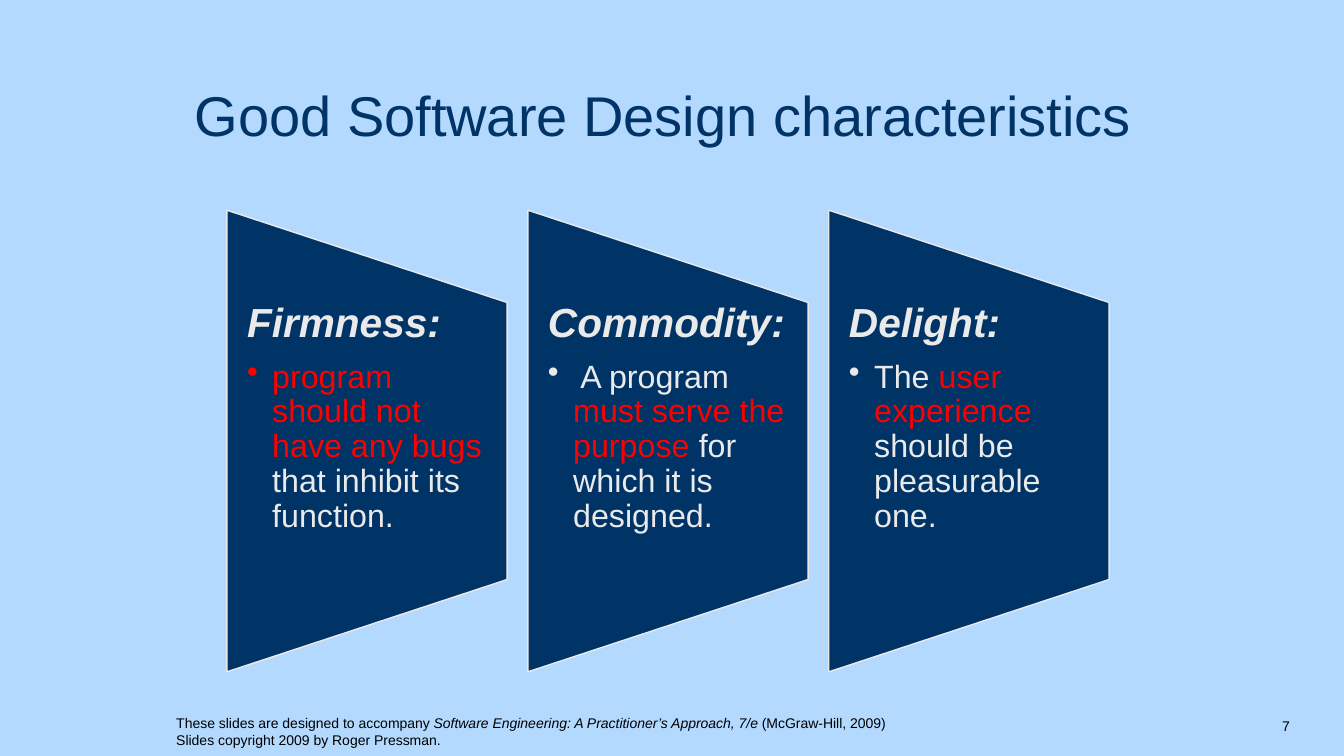
import pptx
import pptx.dml.color
import pptx.enum.shapes
import pptx.enum.text
import pptx.oxml.xmlchemy
import pptx.util
from lxml import etree

Inches, Pt = pptx.util.Inches, pptx.util.Pt
ANCHOR = pptx.enum.text.MSO_ANCHOR
ALIGN = pptx.enum.text.PP_ALIGN

WIDTH, HEIGHT = 13.33, 7.5
SKY, NAVY, PALE, RED, BLACK = "B3D9FF", "003366", "EAEAEA", "FF0000", "000000"

# Three columns with equal pitch
FIRST_LEFT, PITCH = 2.25, 2.985
PANEL_WIDTH, PANEL_HEIGHT, PANEL_MIDDLE = 2.78, 4.58, 4.375
TEXT_HEIGHT = 2.75

HEADING = {"size": Pt(29), "bold": True, "italic": True}
BODY = {"size": Pt(23), "bold": False, "italic": False}
SMALL = {"size": Pt(10)}

CHARACTERISTICS = [
    ("Firmness:", [("program should not have any bugs ", RED),
                   ("that inhibit its function.", PALE)]),
    ("Commodity:", [(" A program ", PALE), ("must serve the purpose ", RED),
                    ("for which it is designed.", PALE)]),
    ("Delight:", [("The ", PALE), ("user experience ", RED),
                  ("should be pleasurable one.", PALE)]),
]


def color(hex_text):
    return pptx.dml.color.RGBColor.from_string(hex_text)


def apply(target, values):
    for name, value in values.items():
        setattr(target, name, value)


def add_span(para, text, ink, font_values):
    span = para.add_run()
    span.text = text
    span.font.name = "Arial"
    span.font.color.rgb = color(ink)
    apply(span.font, font_values)


def add_text_box(page, left, top, width, height, frame_values):
    box = page.shapes.add_textbox(*map(Inches, (left, top, width, height)))
    apply(box.text_frame, {"word_wrap": True, **frame_values})
    return box.text_frame


def add_bullet(para, ink, indent):
    properties = para._p.get_or_add_pPr()
    properties.set("marL", str(Inches(indent)))
    properties.set("indent", str(-Inches(indent)))
    namespace = pptx.oxml.ns.qn("a:buChar")
    bullet_color = etree.SubElement(properties, pptx.oxml.ns.qn("a:buClr"))
    etree.SubElement(bullet_color, pptx.oxml.ns.qn("a:srgbClr"), val=ink)
    etree.SubElement(properties, namespace, char="•")


def add_title(page, text):
    title = page.shapes.title
    apply(title, {"left": Inches(1.83), "top": Inches(0.83),
                  "width": Inches(9.83), "height": Inches(0.69)})
    apply(title.text_frame, {"vertical_anchor": ANCHOR.BOTTOM, "word_wrap": True,
                             "auto_size": pptx.enum.text.MSO_AUTO_SIZE.NONE})
    para = title.text_frame.paragraphs[0]
    para.alignment = ALIGN.LEFT
    add_span(para, text, NAVY, {"size": Pt(40)})


def add_panel(page, left):
    # The shape is turned a quarter, so its width and height trade places
    center = left + PANEL_WIDTH / 2
    panel = page.shapes.add_shape(
        pptx.enum.shapes.MSO_SHAPE.FLOWCHART_MANUAL_OPERATION,
        Inches(center - PANEL_HEIGHT / 2), Inches(PANEL_MIDDLE - PANEL_WIDTH / 2),
        Inches(PANEL_HEIGHT), Inches(PANEL_WIDTH))
    panel.rotation = 270
    panel.shadow.inherit = False
    panel.fill.solid()
    panel.fill.fore_color.rgb = color(NAVY)
    panel.line.color.rgb = color(PALE)
    panel.line.width = Pt(1)


def add_characteristic(page, left, heading, parts):
    add_panel(page, left)
    frame = add_text_box(
        page, left, PANEL_MIDDLE - TEXT_HEIGHT / 2, PANEL_WIDTH, TEXT_HEIGHT,
        {"margin_left": Inches(0.2), "margin_right": Inches(0.2),
         "margin_top": 0, "margin_bottom": 0})
    para = frame.paragraphs[0]
    apply(para, {"line_spacing": 0.9, "space_after": Pt(10)})
    add_span(para, heading, PALE, HEADING)
    para = frame.add_paragraph()
    apply(para, {"level": 1, "line_spacing": 0.9, "space_after": Pt(3.5)})
    add_bullet(para, parts[0][1], 0.25)
    for text, ink in parts:
        add_span(para, text, ink, BODY)


def add_footer(page):
    bottom = {"vertical_anchor": ANCHOR.BOTTOM}
    para = add_text_box(page, 1.65, 6.97, 7.44, 0.5, bottom).paragraphs[0]
    for text, italic in [
            ("These slides are designed to accompany ", False),
            ("Software Engineering: A Practitioner’s Approach, 7/e ", True),
            ("(McGraw-Hill, 2009) Slides copyright 2009 by Roger Pressman.", False)]:
        add_span(para, text, BLACK, {**SMALL, "italic": italic})
    para = add_text_box(page, 11, 6.83, 1.89, 0.5, bottom).paragraphs[0]
    para.alignment = ALIGN.RIGHT
    add_span(para, "7", BLACK, SMALL)


def main():
    deck = pptx.Presentation()
    apply(deck, {"slide_width": Inches(WIDTH), "slide_height": Inches(HEIGHT)})
    page = deck.slides.add_slide(deck.slide_layouts[5])
    page.background.fill.solid()
    page.background.fill.fore_color.rgb = color(SKY)
    add_title(page, "Good Software Design characteristics")
    for column, (heading, parts) in enumerate(CHARACTERISTICS):
        add_characteristic(page, FIRST_LEFT + column * PITCH, heading, parts)
    add_footer(page)
    deck.save("out.pptx")


if __name__ == "__main__":
    main()
